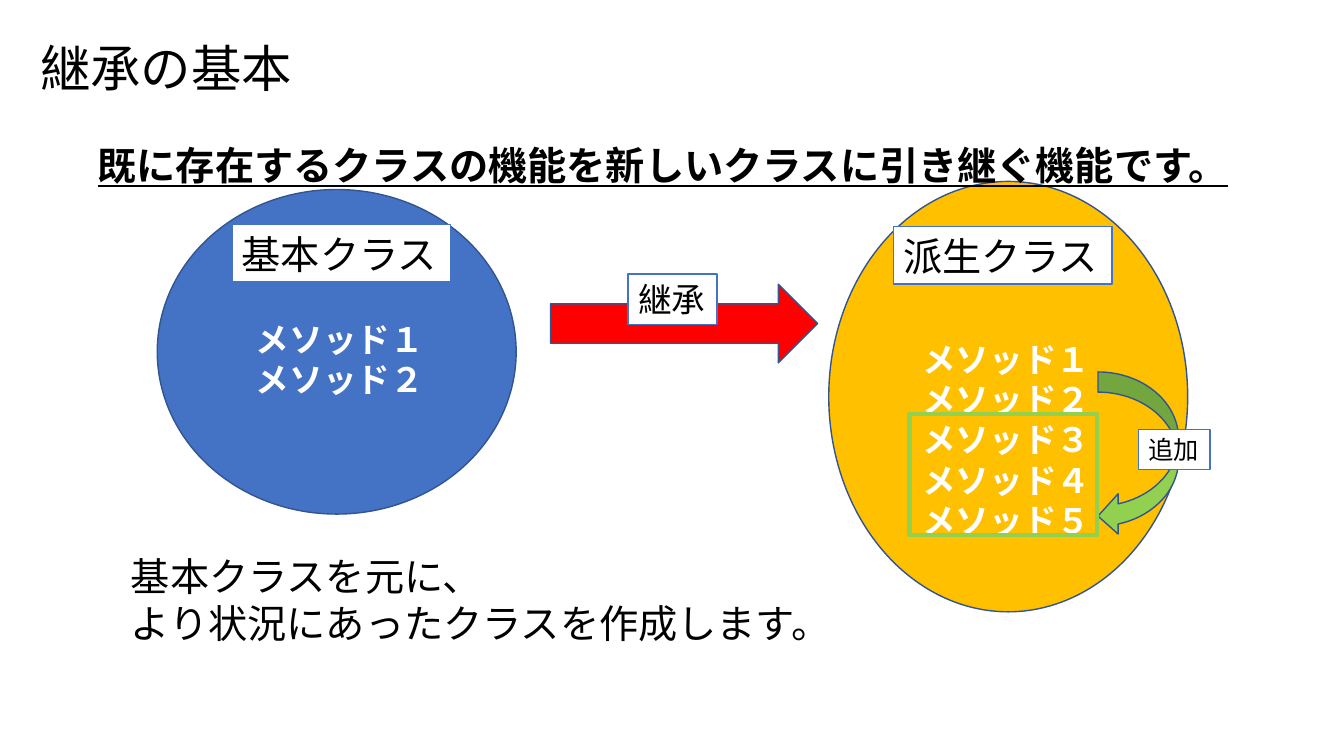
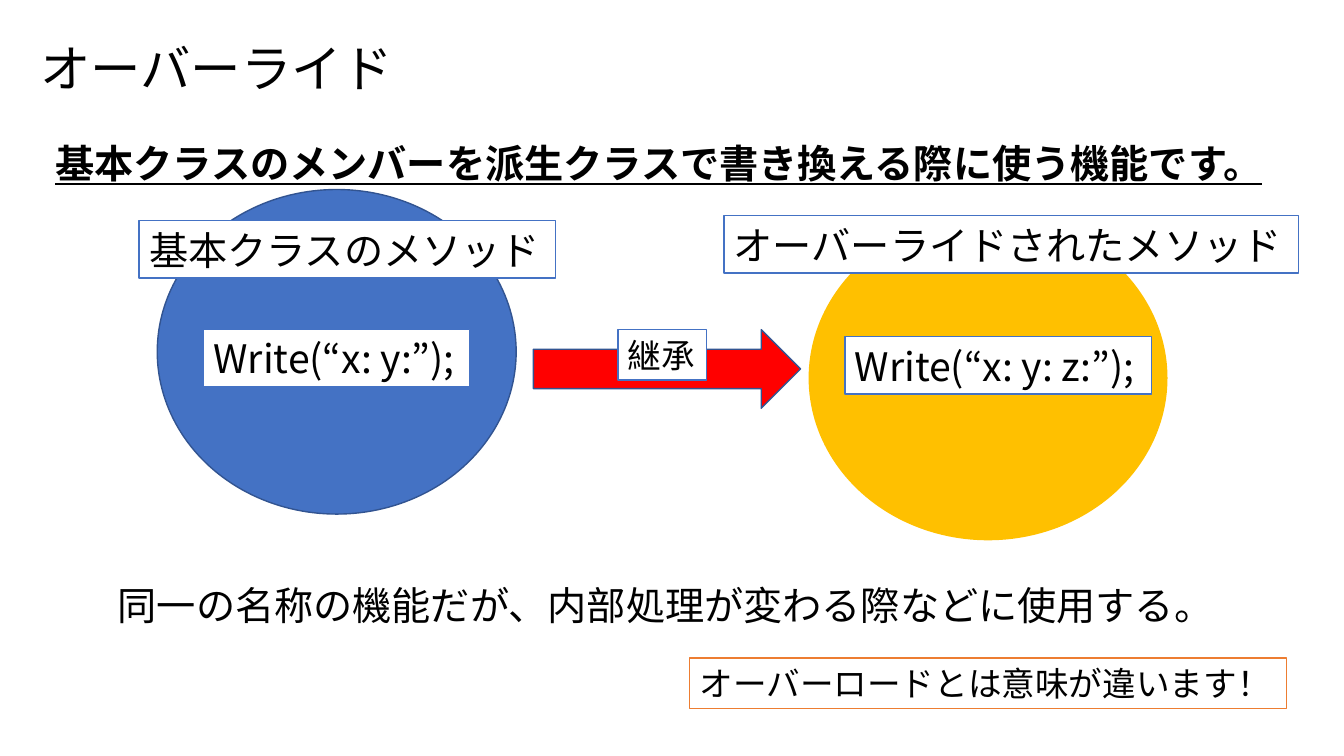
"""Build two slides on class inheritance and overriding."""
from lxml import etree
from pptx import Presentation, util as u
from pptx.dml import color
from pptx.enum import shapes, text
from pptx.oxml import ns

PX = 9144
FONT = "Noto Sans CJK JP"
LINE_HEIGHT = 1.2
COLORS = {
    "black": "000000",
    "white": "FFFFFF",
    "blue": "4472C4",
    "outline": "325491",
    "gold": "FFC000",
    "red": "FF0000",
    "green": "92D050",
    "orange": "ED7D31",
}
SHAPE = shapes.MSO_SHAPE


def rgb(name):
    """Return the named colour."""
    return color.RGBColor.from_string(COLORS[name])


def px(*lengths):
    """Turn pixel lengths into EMU."""
    return [u.Emu(length * PX) for length in lengths]


def write(shape, lines, size=28, ink="black", bold=False, underline=False,
          wrap=False):
    """Fill a shape with one left-aligned paragraph per line."""
    frame = shape.text_frame
    frame.word_wrap = wrap
    frame.auto_size = text.MSO_AUTO_SIZE.NONE
    frame.vertical_anchor = text.MSO_ANCHOR.MIDDLE
    for index, line in enumerate(lines):
        paragraph = frame.add_paragraph() if index else frame.paragraphs[0]
        paragraph.alignment = text.PP_ALIGN.LEFT
        paragraph.line_spacing = u.Pt(size * LINE_HEIGHT)
        run = paragraph.add_run()
        run.text = line
        font = run.font
        font.name, font.size = FONT, u.Pt(size)
        font.bold, font.underline = bold, underline
        font.color.rgb = rgb(ink)
        east_asian = etree.SubElement(font._element, ns.qn("a:ea"))
        east_asian.set("typeface", FONT)


def add_text(slide, box, *lines, **style):
    """Add a plain text box."""
    write(slide.shapes.add_textbox(*px(*box)), lines, **style)


def add_figure(slide, kind, box, fill=None, line="outline", width=1):
    """Add a preset shape with optional fill and outline."""
    shape = slide.shapes.add_shape(kind, *px(*box))
    shape.shadow.inherit = False
    if fill:
        shape.fill.solid()
        shape.fill.fore_color.rgb = rgb(fill)
    else:
        shape.fill.background()
    if line:
        shape.line.color.rgb = rgb(line)
        shape.line.width = u.Pt(width)
    else:
        shape.line.fill.background()
    return shape


def add_label(slide, box, caption, line="blue", **style):
    """Add a white outlined label."""
    shape = add_figure(slide, SHAPE.RECTANGLE, box, "white", line)
    write(shape, [caption], **style)


def add_title(slide, caption):
    """Add the slide title."""
    add_text(slide, (30, 31, 940, 72), caption, size=36, wrap=True)


def add_headline(slide, box, caption):
    """Add the underlined key sentence."""
    add_text(slide, box, caption, bold=True, underline=True)


def add_base_class(slide):
    """Add the ellipse of the base class."""
    add_figure(slide, SHAPE.OVAL, (156, 188, 356, 322), "blue")


def add_inheritance(slide, arrow, label):
    """Add the red arrow and its label at the given corners."""
    add_figure(slide, SHAPE.RIGHT_ARROW, (*arrow, 265, 78), "red")
    add_label(slide, (*label, 88, 50), "継承", size=24)


def build_inheritance(slide):
    """Build the slide on inheritance."""
    methods = [f"メソッド{digit}" for digit in "１２３４５"]
    method_style = {"size": 24, "ink": "white", "bold": True}
    add_figure(slide, SHAPE.OVAL, (822, 180, 356, 427), "gold")
    add_title(slide, "継承の基本")
    add_headline(slide, (87, 135, 1159, 57),
                 "既に存在するクラスの機能を新しいクラスに引き継ぐ機能です。")
    add_label(slide, (886, 225, 217, 57), "派生クラス")
    add_base_class(slide)
    add_label(slide, (230, 223, 217, 57), "基本クラス")
    add_text(slide, (244, 311, 188, 91), *methods[:2], **method_style)
    add_text(slide, (905, 330, 188, 212), *methods, **method_style)
    add_inheritance(slide, (546, 282), (623, 272))
    add_figure(slide, SHAPE.CURVED_LEFT_ARROW, (1089, 369, 80, 163), "green")
    add_figure(slide, SHAPE.RECTANGLE, (902, 411, 186, 120),
               line="green", width=3)
    add_label(slide, (1129, 426, 71, 40), "追加", size=18)
    add_text(slide, (120, 543, 727, 104),
             "基本クラスを元に、", "より状況にあったクラスを作成します。")


def build_override(slide):
    """Build the slide on overriding."""
    add_figure(slide, SHAPE.OVAL, (802, 214, 356, 322), "gold", line=None)
    add_base_class(slide)
    add_title(slide, "オーバーライド")
    add_headline(slide, (45, 133, 1242, 57),
                 "基本クラスのメンバーを派生クラスで書き換える際に使う機能です。")
    add_label(slide, (138, 219, 413, 57), "基本クラスのメソッド")
    add_label(slide, (202, 327, 264, 57), "Write(“x: y:”);")
    add_label(slide, (718, 214, 570, 57), "オーバーライドされたメソッド")
    add_label(slide, (838, 334, 304, 57), "Write(“x: y: z:”);")
    add_inheritance(slide, (529, 327), (613, 327))
    add_text(slide, (107, 572, 1120, 57),
             "同一の名称の機能だが、内部処理が変わる際などに使用する。")
    add_label(slide, (684, 653, 592, 50), "オーバーロードとは意味が違います！",
              line="orange", size=24)


def main():
    """Create and save the presentation."""
    presentation = Presentation()
    presentation.slide_width, presentation.slide_height = px(1333, 750)
    blank = presentation.slide_layouts[6]
    for build in (build_inheritance, build_override):
        build(presentation.slides.add_slide(blank))
    presentation.save("out.pptx")


if __name__ == "__main__":
    main()
